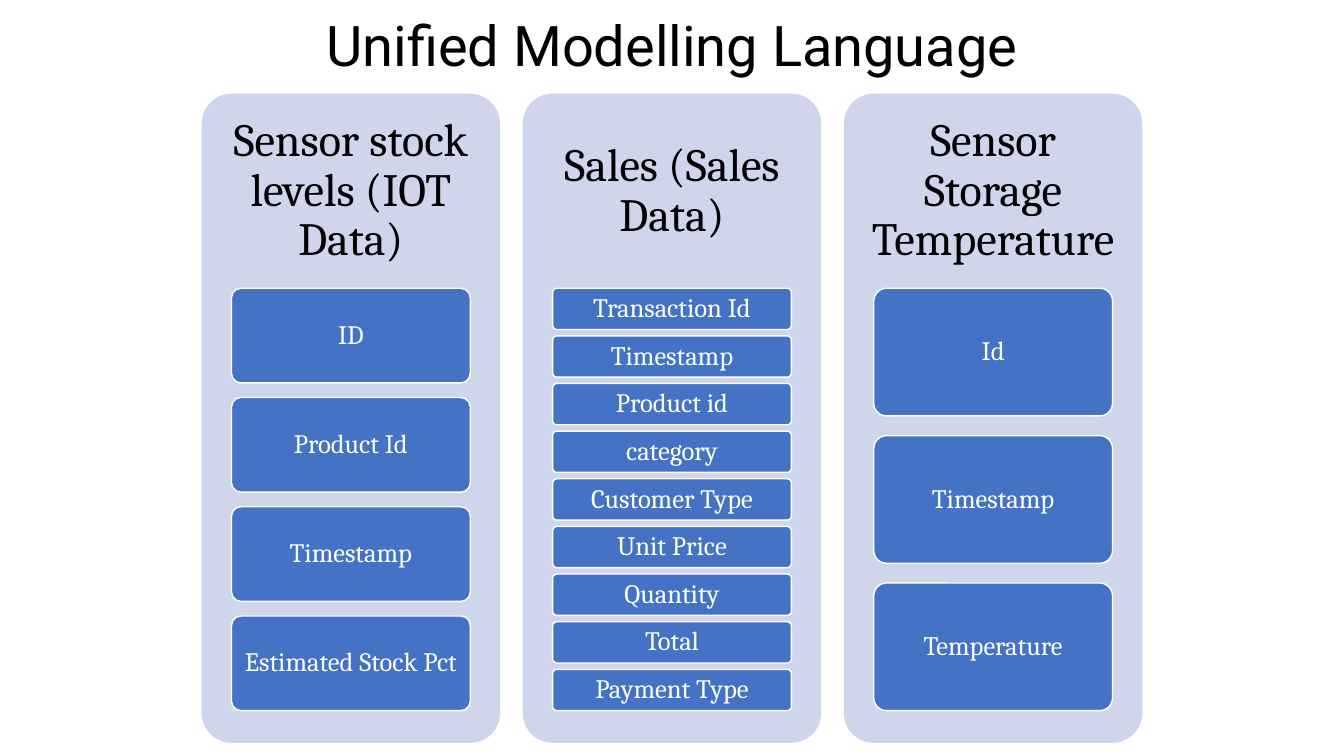
from pptx import Presentation
from pptx.dml.color import RGBColor
from pptx.enum import shapes, text
from pptx.util import Inches, Pt

# Content
TITLE = "Unified Modelling Language"
ENTITIES = [
    ("Sensor stock levels (IOT Data)",
     ["ID", "Product Id", "Timestamp", "Estimated Stock Pct"]),
    ("Sales (Sales Data)",
     ["Transaction Id", "Timestamp", "Product id", "category", "Customer Type",
      "Unit Price", "Quantity", "Total", "Payment Type"]),
    ("Sensor Storage Temperature",
     ["Id", "Timestamp", "Temperature"]),
]

# Colours
BLACK = RGBColor(0x00, 0x00, 0x00)
WHITE = RGBColor(0xFF, 0xFF, 0xFF)
PANEL_FILL = RGBColor(0xCF, 0xD5, 0xEA)
FIELD_FILL = RGBColor(0x44, 0x72, 0xC4)

# Layout, in inches
SLIDE_W, SLIDE_H = 13.33, 7.5
PANEL_X, PANEL_Y, PANEL_W, PANEL_H = 2, 0.93, 2.96, 6.44
PANEL_STEP = 3.185
HEADING_H = 0.3 * PANEL_H
FIELD_W = 0.8 * PANEL_W
FIELDS_Y, FIELDS_H = 2.86, 4.19
GAP_RATIO = 0.154  # gap between fields, as a share of field height

prs = Presentation()
prs.slide_width, prs.slide_height = Inches(SLIDE_W), Inches(SLIDE_H)
slide = prs.slides.add_slide(prs.slide_layouts[6])


def write(holder, words, size, font="Cambria", color=BLACK, inset=(0.1, 0.05),
          anchor=text.MSO_ANCHOR.MIDDLE, before=0):
    frame = holder.text_frame
    frame.word_wrap = True
    frame.vertical_anchor = anchor
    frame.margin_left = frame.margin_right = Inches(inset[0])
    frame.margin_top = frame.margin_bottom = Inches(inset[1])
    line = frame.paragraphs[0]
    line.alignment = text.PP_ALIGN.CENTER
    line.line_spacing = 0.9
    line.space_before = Pt(before)
    run = line.add_run()
    run.text = words
    run.font.size, run.font.name = Pt(size), font
    run.font.color.rgb = color


def add_rounded(x, y, w, h, fill, outline=None):
    box = slide.shapes.add_shape(shapes.MSO_SHAPE.ROUNDED_RECTANGLE,
                                 Inches(x), Inches(y), Inches(w), Inches(h))
    box.adjustments[0] = 0.1
    box.shadow.inherit = False
    box.fill.solid()
    box.fill.fore_color.rgb = fill
    if outline is None:
        box.line.fill.background()
    else:
        box.line.color.rgb = outline
        box.line.width = Pt(1)
    return box


# Title
title = slide.shapes.add_textbox(0, Inches(0.13), Inches(SLIDE_W), Inches(0.79))
write(title, TITLE, 40, font="Roboto", anchor=text.MSO_ANCHOR.TOP, before=10)

# One panel per entity, its fields filling the same height
for column, (entity, fields) in enumerate(ENTITIES):
    panel_x = PANEL_X + column * PANEL_STEP
    add_rounded(panel_x, PANEL_Y, PANEL_W, PANEL_H, PANEL_FILL)
    heading = slide.shapes.add_textbox(Inches(panel_x), Inches(PANEL_Y),
                                       Inches(PANEL_W), Inches(HEADING_H))
    write(heading, entity, 33, inset=(0.14, 0.14))

    field_x = panel_x + (PANEL_W - FIELD_W) / 2
    field_h = FIELDS_H / (len(fields) + (len(fields) - 1) * GAP_RATIO)
    for row, name in enumerate(fields):
        field_y = FIELDS_Y + row * field_h * (1 + GAP_RATIO)
        field = add_rounded(field_x, field_y, FIELD_W, field_h, FIELD_FILL, WHITE)
        write(field, name, 19, color=WHITE, inset=(0.05, 0.04))

prs.save("out.pptx")
